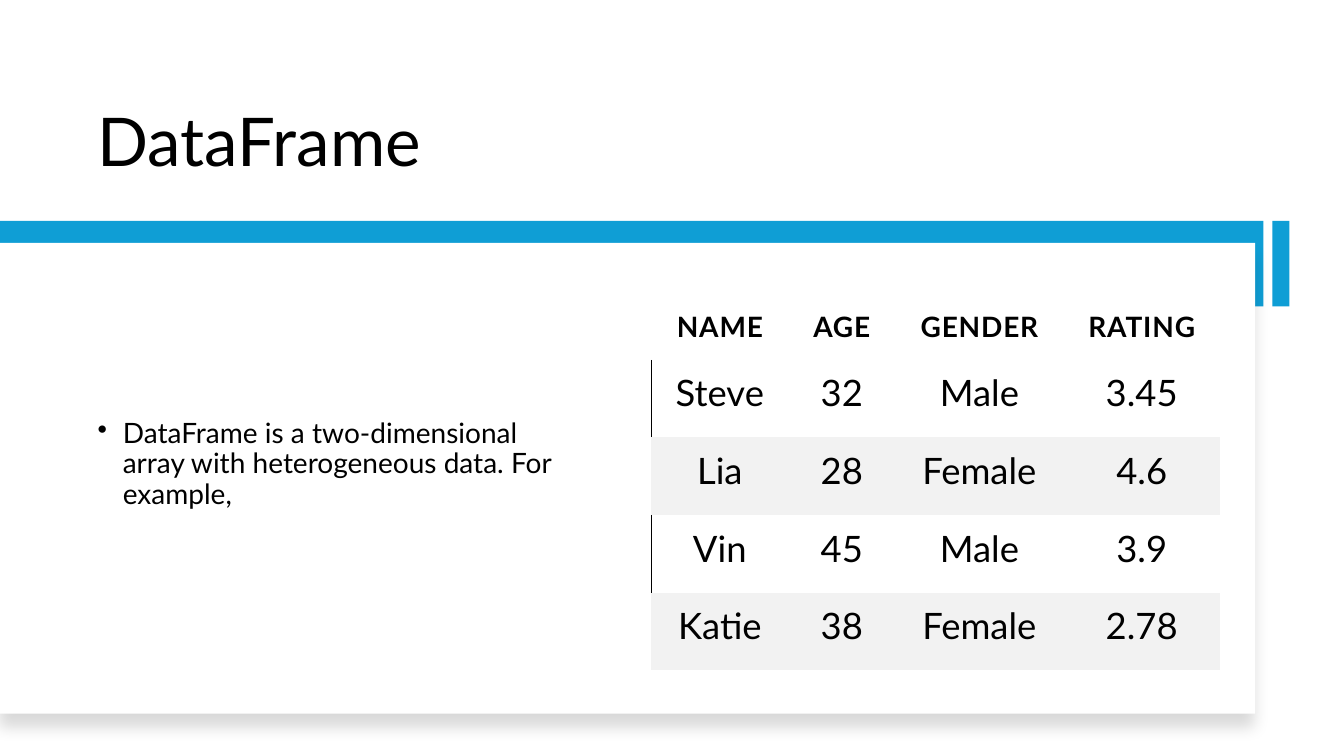
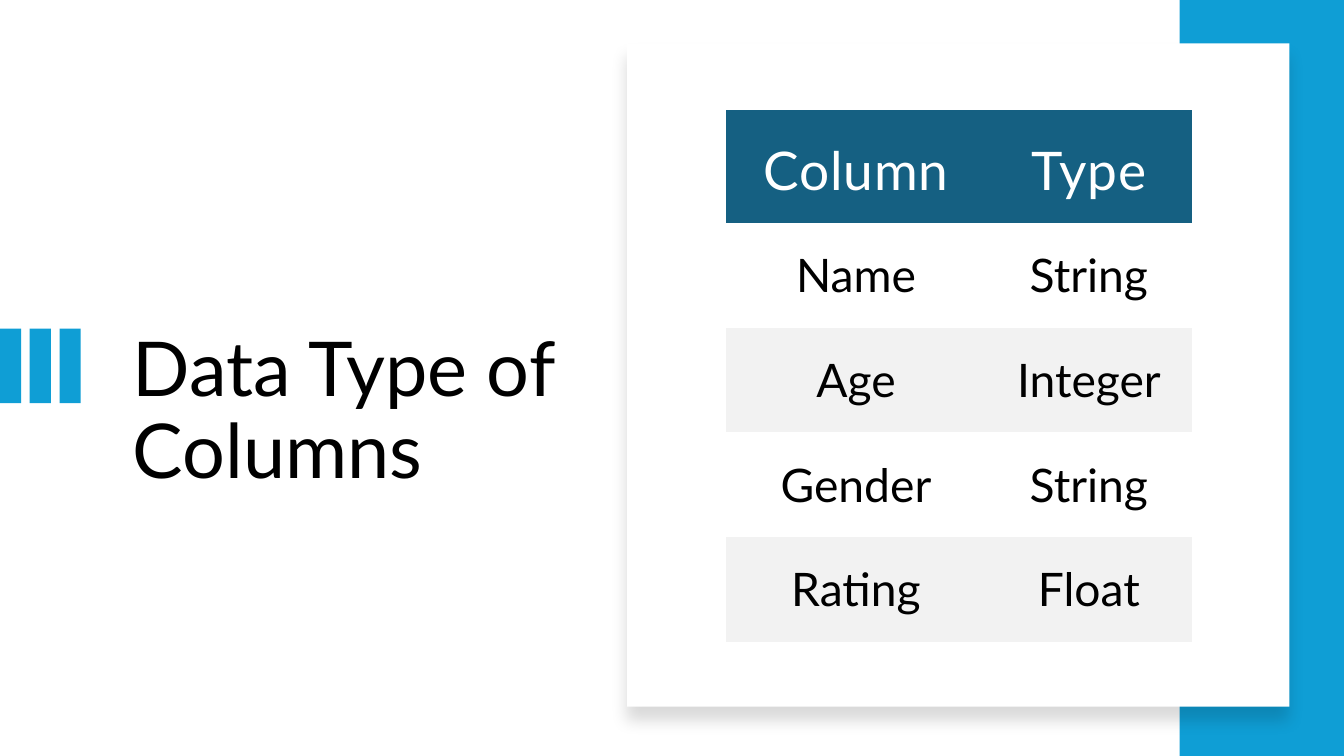
from dataclasses import dataclass

from lxml.etree import SubElement
from pptx import Presentation
from pptx.dml.color import RGBColor
from pptx.enum.shapes import MSO_SHAPE
from pptx.enum.text import MSO_ANCHOR, PP_ALIGN
from pptx.oxml import parse_xml
from pptx.oxml.ns import nsdecls, qn
from pptx.shapes.autoshape import Shape
from pptx.slide import Slide
from pptx.table import _Cell
from pptx.text.text import _Paragraph
from pptx.util import Inches, Pt

BLACK = RGBColor(0x00, 0x00, 0x00)
WHITE = RGBColor(0xFF, 0xFF, 0xFF)
BLUE = RGBColor(0x0F, 0x9E, 0xD5)
DARK_BLUE = RGBColor(0x15, 0x60, 0x82)
BAND_GREY = RGBColor(0xF2, 0xF2, 0xF2)
FONT = "Lato"
NO_STYLE_NO_GRID = "{2D5ABB26-0587-4C30-8999-92F81FD0307C}"


@dataclass(frozen=True)
class Box:
    """A rectangle in inches."""
    left: float
    top: float
    width: float
    height: float

    def lengths(self) -> tuple[Inches, ...]:
        return tuple(Inches(v) for v in (self.left, self.top, self.width, self.height))


@dataclass(frozen=True)
class CellStyle:
    """Insets are left, top, right, bottom in inches."""
    size: float
    insets: tuple[float, float, float, float]
    anchor: MSO_ANCHOR = MSO_ANCHOR.TOP
    color: RGBColor = BLACK
    bold: bool = False
    spacing: float = 0
    fill: RGBColor | None = None


@dataclass(frozen=True)
class DataTable:
    left: float
    top: float
    columns: tuple[float, ...]
    header_height: float
    row_height: float
    header: CellStyle
    body: CellStyle
    rows: tuple[tuple[str, ...], ...]
    left_rule: bool = False


PEOPLE = DataTable(
    left=6.46, top=2.85, columns=(1.36, 1.06, 1.67, 1.55),
    header_height=0.72, row_height=0.77,
    header=CellStyle(20, (0.11, 0.16, 0.11, 0.16), MSO_ANCHOR.BOTTOM, bold=True, spacing=0.6),
    body=CellStyle(26, (0.11, 0.11, 0.11, 0.16)),
    rows=(
        ("NAME", "AGE", "GENDER", "RATING"),
        ("Steve", "32", "Male", "3.45"),
        ("Lia", "28", "Female", "4.6"),
        ("Vin", "45", "Male", "3.9"),
        ("Katie", "38", "Female", "2.78"),
    ),
    left_rule=True,
)

COLUMN_TYPES = DataTable(
    left=7.2, top=1.09, columns=(2.58, 2.04),
    header_height=1.12, row_height=1.04,
    header=CellStyle(38, (0.16, 0.24, 0.16, 0.16), MSO_ANCHOR.MIDDLE, WHITE,
                     spacing=0.6, fill=DARK_BLUE),
    body=CellStyle(33, (0.16, 0.24, 0.16, 0.16)),
    rows=(
        ("Column", "Type"),
        ("Name", "String"),
        ("Age", "Integer"),
        ("Gender", "String"),
        ("Rating", "Float"),
    ),
)


def set_font(paragraph: _Paragraph, size: float, color: RGBColor = BLACK,
             bold: bool = False) -> None:
    font = paragraph.font
    font.name = FONT
    font.size = Pt(size)
    font.bold = bold
    font.color.rgb = color


def add_block(slide: Slide, box: Box, color: RGBColor) -> Shape:
    """Draw a plain filled rectangle without outline or shadow."""
    block = slide.shapes.add_shape(MSO_SHAPE.RECTANGLE, *box.lengths())
    block.fill.solid()
    block.fill.fore_color.rgb = color
    block.line.fill.background()
    block.shadow.inherit = False
    return block


def add_card(slide: Slide, box: Box) -> None:
    """Draw a white panel with a soft shadow below it."""
    card = add_block(slide, box, WHITE)
    effects = card._element.spPr.find(qn("a:effectLst"))
    shadow = SubElement(effects, qn("a:outerShdw"), blurRad=str(Pt(11)), dist=str(Pt(10)),
                        dir="5400000", algn="t", rotWithShape="0")
    tint = SubElement(shadow, qn("a:srgbClr"), val=str(BLACK))
    SubElement(tint, qn("a:alpha"), val="15000")


def add_text(slide: Slide, box: Box, text: str, size: float, anchor: MSO_ANCHOR) -> _Paragraph:
    frame = slide.shapes.add_textbox(*box.lengths()).text_frame
    frame.word_wrap = True
    frame.vertical_anchor = anchor
    paragraph = frame.paragraphs[0]
    paragraph.text = text
    paragraph.line_spacing = 0.9
    set_font(paragraph, size)
    return paragraph


def add_bullet(paragraph: _Paragraph) -> None:
    properties = paragraph._p.get_or_add_pPr()
    properties.set("marL", str(Inches(0.25)))
    properties.set("indent", str(Inches(-0.25)))
    bullet = parse_xml(f'<a:buChar {nsdecls("a")} char="•"/>')
    properties.find(qn("a:defRPr")).addprevious(bullet)


def add_left_rule(cell: _Cell) -> None:
    rule = parse_xml(
        f'<a:lnL {nsdecls("a")} w="{Pt(1)}"><a:solidFill>'
        f'<a:srgbClr val="{BLACK}"/></a:solidFill></a:lnL>')
    cell._tc.get_or_add_tcPr().insert(0, rule)


def fill_cell(cell: _Cell, text: str, style: CellStyle, fill: RGBColor | None) -> None:
    cell.margin_left, cell.margin_top, cell.margin_right, cell.margin_bottom = (
        Inches(inset) for inset in style.insets)
    cell.vertical_anchor = style.anchor
    if fill is None:
        cell.fill.background()
    else:
        cell.fill.solid()
        cell.fill.fore_color.rgb = fill
    paragraph = cell.text_frame.paragraphs[0]
    paragraph.text = text
    paragraph.alignment = PP_ALIGN.CENTER
    set_font(paragraph, style.size, style.color, style.bold)
    paragraph._p.pPr.find(qn("a:defRPr")).set("spc", str(round(style.spacing * 100)))


def add_data_table(slide: Slide, data: DataTable) -> None:
    """Draw a header row and body rows, every second body row grey."""
    height = data.header_height + data.row_height * (len(data.rows) - 1)
    box = Box(data.left, data.top, sum(data.columns), height)
    frame = slide.shapes.add_table(len(data.rows), len(data.columns), *box.lengths())
    table = frame.table
    table.first_row = table.horz_banding = False
    table._tbl.tblPr.find(qn("a:tableStyleId")).text = NO_STYLE_NO_GRID
    for column, width in zip(table.columns, data.columns):
        column.width = Inches(width)
    for r, texts in enumerate(data.rows):
        is_header = r == 0
        is_banded = not is_header and r % 2 == 0
        style = data.header if is_header else data.body
        table.rows[r].height = Inches(data.header_height if is_header else data.row_height)
        for c, text in enumerate(texts):
            fill_cell(table.cell(r, c), text, style, BAND_GREY if is_banded else style.fill)
        if data.left_rule and r % 2 == 1:
            add_left_rule(table.cell(r, 0))


def build_dataframe_slide(slide: Slide) -> None:
    add_text(slide, Box(0.87, 0.42, 11.01, 1.42), "DataFrame", 48, MSO_ANCHOR.BOTTOM)
    add_block(slide, Box(0, 2.19, 12.53, 0.85), BLUE)
    add_card(slide, Box(0, 2.41, 12.45, 4.67))
    definition = add_text(
        slide, Box(0.87, 2.84, 4.96, 3.54),
        "DataFrame is a two-dimensional array with heterogeneous data. For example,",
        20, MSO_ANCHOR.MIDDLE)
    definition.space_before = Pt(10)
    add_bullet(definition)
    add_block(slide, Box(12.62, 2.19, 0.17, 0.85), BLUE)
    add_data_table(slide, PEOPLE)


def build_types_slide(slide: Slide) -> None:
    add_text(slide, Box(1.22, 3.24, 4.41, 2.61), "Data Type of Columns", 54, MSO_ANCHOR.TOP)
    for i in range(3):
        add_block(slide, Box(i * 0.59 / 2, 3.26, 0.21, 0.74), BLUE)
    add_block(slide, Box(11.7, 0, 1.63, 7.5), BLUE)
    add_card(slide, Box(6.22, 0.43, 6.57, 6.58))
    add_data_table(slide, COLUMN_TYPES)


def main() -> None:
    deck = Presentation()
    deck.slide_width, deck.slide_height = Inches(13.33), Inches(7.5)
    blank = deck.slide_layouts[6]
    for build in (build_dataframe_slide, build_types_slide):
        build(deck.slides.add_slide(blank))
    deck.save("out.pptx")


if __name__ == "__main__":
    main()
